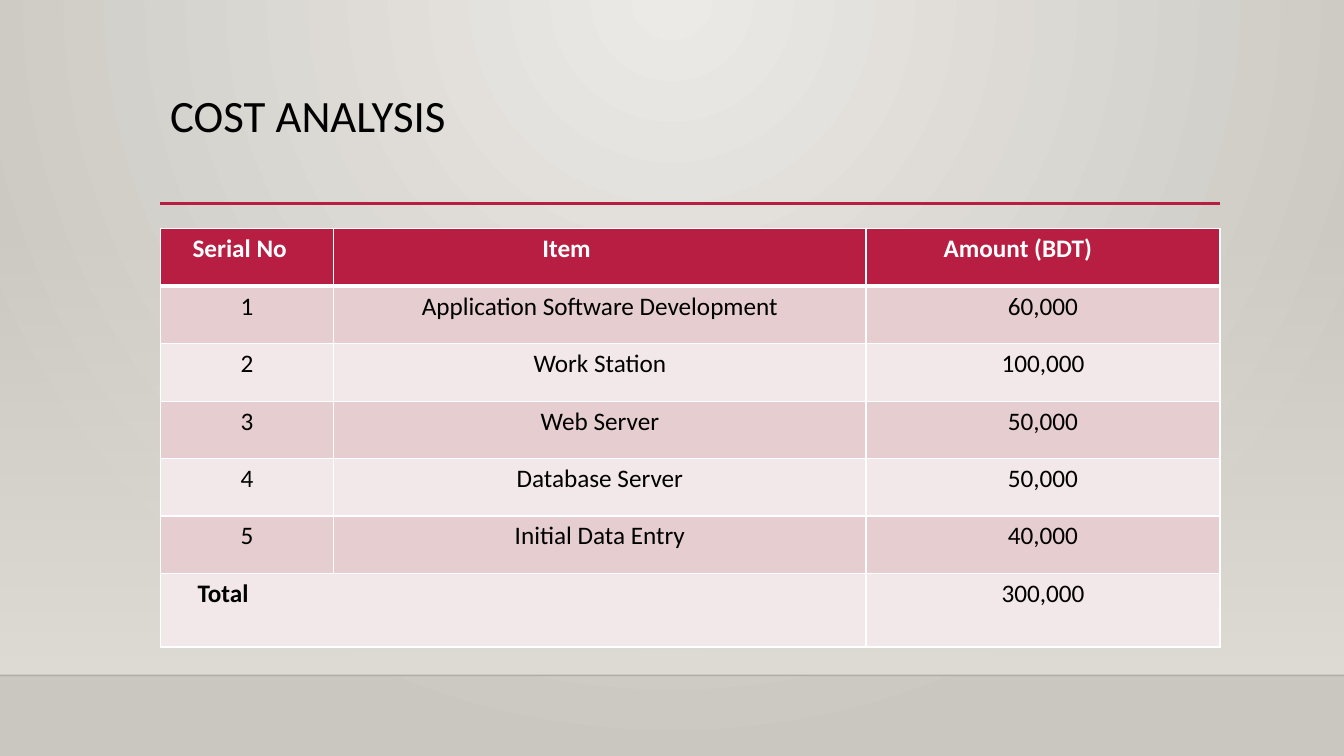
"""Build the cost analysis slide with its budget table."""
from lxml import etree
from pptx import Presentation
from pptx import oxml
from pptx.dml.color import RGBColor
from pptx.enum import shapes, text
from pptx.oxml.ns import nsdecls, qn
from pptx.util import Inches, Pt

TITLE = "COST ANALYSIS"
HEADER = ("Serial No", "Item", "Amount (BDT)")
ITEMS = [
    ("Application Software Development", "60,000"),
    ("Work Station", "100,000"),
    ("Web Server", "50,000"),
    ("Database Server", "50,000"),
    ("Initial Data Entry", "40,000"),
]
TOTAL = ("Total", "", "300,000")
COLORS = {
    "accent": "B71E42", "band": "E6CDCF", "pale": "F3E8E9",
    "white": "FFFFFF", "black": "000000", "edge": "000001",
    "glow": "ECEAE7", "shade": "CAC7C1", "wall": "DFDBD5",
}
FONT = "Calibri"
LEFT, WIDTH = 1.59, 10.5
COL_WIDTHS = (1.72, 5.28, 3.51)
ROW_HEIGHT, TOTAL_HEIGHT = 0.57, 0.73
HEADER_MARGINS = (0.32, 2.07, 0.77)
TOTAL_MARGIN = 0.37


def rgb(name):
    return RGBColor.from_string(COLORS[name])


def set_gradient(fill, parent, stops, direction):
    fill.solid()
    marks = "".join(
        f'<a:gs pos="{pos * 1000}"><a:srgbClr val="{COLORS[name]}">'
        f'<a:alpha val="{alpha * 1000}"/></a:srgbClr></a:gs>'
        for pos, name, alpha in stops)
    grad = oxml.parse_xml(
        f'<a:gradFill {nsdecls("a")} rotWithShape="1"><a:gsLst>{marks}</a:gsLst>'
        f'{direction}</a:gradFill>')
    parent.replace(parent.find(qn("a:solidFill")), grad)


def add_line(slide, x1, x2, y, color, width):
    line = slide.shapes.add_connector(
        shapes.MSO_CONNECTOR.STRAIGHT, Inches(x1), Inches(y), Inches(x2), Inches(y))
    line.line.color.rgb = rgb(color)
    line.line.width = Pt(width)
    etree.SubElement(line._element.spPr, qn("a:effectLst"))
    return line


def format_run(p, size, color, bold=False):
    for r in p.runs:
        r.font.name, r.font.size, r.font.bold = FONT, Pt(size), bold
        r.font.color.rgb = rgb(color)


def set_borders(cell, top, bottom):
    tc_pr = cell._tc.get_or_add_tcPr()
    widths = {"lnL": 1, "lnR": 1, "lnT": top, "lnB": bottom}
    for i, (side, width) in enumerate(widths.items()):
        tc_pr.insert(i, oxml.parse_xml(
            f'<a:{side} {nsdecls("a")} w="{Pt(width)}"><a:solidFill>'
            f'<a:srgbClr val="{COLORS["white"]}"/></a:solidFill></a:{side}>'))


def add_backdrop(slide):
    fill = slide.background.fill
    fill.solid()
    set_gradient(
        fill, slide._element.find(".//" + qn("p:bgPr")),
        [(0, "glow", 100), (100, "shade", 100)],
        '<a:path path="circle"><a:fillToRect l="43000" t="0" r="43000" b="100000"/></a:path>')
    wall = slide.shapes.add_shape(
        shapes.MSO_SHAPE.RECTANGLE, 0, Inches(2.21), Inches(13.33), Inches(4.49))
    wall.shadow.inherit = False
    wall.line.fill.background()
    set_gradient(wall.fill, wall._element.spPr,
                 [(0, "wall", 0), (100, "wall", 100)], '<a:lin ang="5400000" scaled="0"/>')
    floor = add_line(slide, 0, 13.33, 6.7, "edge", 1)
    clr = floor._element.spPr.find(".//" + qn("a:srgbClr"))
    etree.SubElement(clr, qn("a:alpha"), val="20000")
    add_line(slide, LEFT, 12.1, 2.02, "accent", 2.5)


def add_title(slide):
    box = slide.shapes.add_textbox(Inches(LEFT), Inches(0.88), Inches(WIDTH), Inches(1.15))
    tf = box.text_frame
    tf.word_wrap = True
    tf.text = TITLE
    p = tf.paragraphs[0]
    p.line_spacing = 0.9
    format_run(p, 32, "black")


def add_costs(slide):
    rows = [HEADER]
    rows += [(str(n), *item) for n, item in enumerate(ITEMS, 1)]
    rows.append(TOTAL)
    last = len(rows) - 1
    heights = [ROW_HEIGHT] * last + [TOTAL_HEIGHT]
    table = slide.shapes.add_table(
        len(rows), len(HEADER), Inches(LEFT), Inches(2.27),
        Inches(WIDTH), Inches(sum(heights))).table
    for col, width in zip(table.columns, COL_WIDTHS):
        col.width = Inches(width)
    for i, values in enumerate(rows):
        table.rows[i].height = Inches(heights[i])
        for j, value in enumerate(values):
            cell = table.cell(i, j)
            cell.text = value
            p = cell.text_frame.paragraphs[0]
            is_total = i == last and j == 0
            if i == 0:
                cell.margin_left = Inches(HEADER_MARGINS[j])
            elif is_total:
                cell.margin_left = Inches(TOTAL_MARGIN)
            else:
                p.alignment = text.PP_ALIGN.CENTER
            format_run(p, 18, "black" if i else "white", i == 0 or is_total)
            cell.fill.solid()
            cell.fill.fore_color.rgb = rgb(
                "accent" if i == 0 else "band" if i % 2 else "pale")
            set_borders(cell, 3 if i == 1 else 1, 3 if i == 0 else 1)
    table.cell(last, 0).merge(table.cell(last, 1))


def main():
    prs = Presentation()
    prs.slide_width, prs.slide_height = Inches(13.33), Inches(7.5)
    slide = prs.slides.add_slide(prs.slide_layouts[6])
    add_backdrop(slide)
    add_title(slide)
    add_costs(slide)
    prs.save("out.pptx")


if __name__ == "__main__":
    main()
